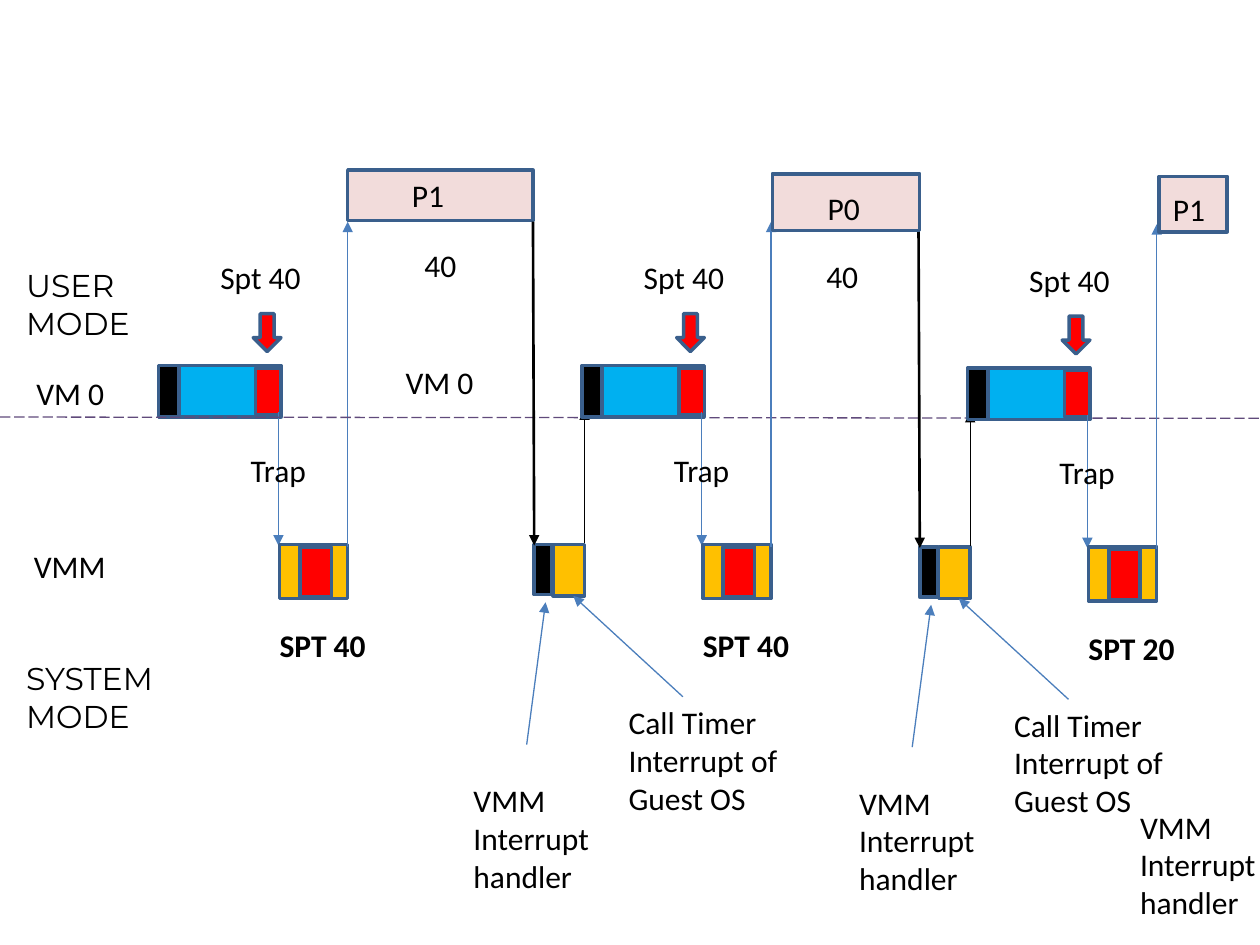
from lxml import etree
from pptx import Presentation
from pptx.dml.color import RGBColor
from pptx.enum.dml import MSO_LINE
from pptx.enum.shapes import MSO_CONNECTOR, MSO_SHAPE
from pptx.enum.text import MSO_AUTO_SIZE
from pptx.oxml.ns import qn
from pptx.util import Inches, Pt

RECTANGLE = MSO_SHAPE.RECTANGLE
DOWN_ARROW = MSO_SHAPE.DOWN_ARROW
STRAIGHT = MSO_CONNECTOR.STRAIGHT
LONG_DASH = MSO_LINE.LONG_DASH
FIT_SHAPE = MSO_AUTO_SIZE.SHAPE_TO_FIT_TEXT

COLORS = {
    "black": "000000",
    "blue": "00B0F0",
    "red": "FF0000",
    "amber": "FFC000",
    "pink": "F2DCDB",
    "outline": "3A5F8C",
    "arrow": "4B7EBC",
    "divider": "604A7B",
}


def rgb(name):
    return RGBColor.from_string(COLORS[name])


class TimelineSlide:
    body_font = "Calibri"
    mode_font = "Montserrat"
    text_size = Pt(18)

    def __init__(self, slide):
        self.slide = slide

    def block(self, left, top, width, height, fill, preset=RECTANGLE):
        shape = self.slide.shapes.add_shape(
            preset, Inches(left), Inches(top), Inches(width), Inches(height))
        shape.shadow.inherit = False
        shape.fill.solid()
        shape.fill.fore_color.rgb = rgb(fill)
        shape.line.color.rgb = rgb("outline")
        shape.line.width = Pt(2)

    def label(self, left, top, width, height, *lines, font=body_font,
              bold=False, wrap=False):
        box = self.slide.shapes.add_textbox(
            Inches(left), Inches(top), Inches(width), Inches(height))
        frame = box.text_frame
        frame.word_wrap = wrap
        frame.auto_size = FIT_SHAPE
        for index, line in enumerate(lines):
            paragraph = frame.add_paragraph() if index else frame.paragraphs[0]
            run = paragraph.add_run()
            run.text = line
            run.font.name = font
            run.font.size = self.text_size
            run.font.bold = bold
            run.font.color.rgb = rgb("black")

    def line(self, x1, y1, x2, y2, color="arrow", weight=0.75, arrow=True):
        connector = self.slide.shapes.add_connector(
            STRAIGHT, Inches(x1), Inches(y1), Inches(x2), Inches(y2))
        connector.line.color.rgb = rgb(color)
        connector.line.width = Pt(weight)
        if arrow:
            outline = connector.line._get_or_add_ln()
            etree.SubElement(outline, qn("a:tailEnd"), type="triangle")
        etree.SubElement(connector._element.spPr, qn("a:effectLst"))
        return connector

    def process(self, left, top, width, height, name, name_left, name_top):
        self.block(left, top, width, height, "pink")
        self.label(name_left, name_top, 0.65, 0.4, name, wrap=True)

    def guest_burst(self, x, dy, timer_label):
        """Guest kernel run in VM 0, its trap to the VMM and the return to user code."""
        self.block(x, 2.9 + dy, 0.16, 0.41, "black")
        self.block(x + 0.16, 2.9 + dy, 0.81, 0.41, "blue")
        self.block(x + 0.77, 2.92 + dy, 0.2, 0.37, "red")
        self.label(x + 0.39, 2 + dy, 0.85, 0.4, "Spt 40")
        self.block(x + 0.75, 2.49 + dy, 0.22, 0.3, "red", DOWN_ARROW)
        self.line(x + 0.95, 3.27 + dy, x + 0.95, 4.33 + dy)
        self.block(x + 0.96, 4.32 + dy, 0.54, 0.43, "amber")
        self.label(x + 0.63, 3.53 + dy, 0.65, 0.4, "Trap")
        self.block(x + 1.12, 4.34 + dy, 0.25, 0.4, "red")
        self.line(x + 1.5, 4.34 + dy, x + 1.5, 1.76 + dy)
        self.label(x + 0.86, 4.92 + dy, 0.89, 0.4, timer_label, bold=True)

    def timer_interrupt(self, x, dy):
        """Switch from user code to the VMM handler and on to the guest."""
        self.handler_label(x - 0.58, 6.15 + dy)
        self.block(x, 4.32 + dy, 0.14, 0.4, "black")
        self.block(x + 0.15, 4.32 + dy, 0.25, 0.41, "amber")
        self.line(x + 0.4, 4.31 + dy, x + 0.4, 3.25 + dy, "black")
        self.line(x - 0.01, 1.76 + dy, x, 4.33 + dy, "black", 1.5)
        self.line(x - 0.06, 5.91 + dy, x + 0.09, 4.78 + dy)
        self.label(x + 0.65, 5.53 + dy, 1.45, 1.01,
                   "Call Timer", "Interrupt of", "Guest OS")
        self.line(x + 1.18, 5.53 + dy, x + 0.31, 4.73 + dy)

    def handler_label(self, left, top):
        self.label(left, top, 1.13, 1.01, "VMM", "Interrupt", "handler")


def main():
    presentation = Presentation()
    presentation.slide_width = Inches(10)
    presentation.slide_height = Inches(7.5)
    blank_layout = presentation.slide_layouts[6]
    timeline = TimelineSlide(presentation.slides.add_slide(blank_layout))

    timeline.guest_burst(1.26, 0, "SPT 40")
    timeline.process(2.76, 1.35, 1.47, 0.4, "P1", 3.17, 1.35)
    divider = timeline.line(0, 3.31, 10, 3.32, "divider", arrow=False)
    divider.line.dash_style = LONG_DASH

    # Each later burst starts 0.38 inches after its timer interrupt.
    for interrupt_x, dy, timer_label in ((4.24, 0, "SPT 40"), (7.3, 0.02, "SPT 20")):
        timeline.timer_interrupt(interrupt_x, dy)
        timeline.guest_burst(interrupt_x + 0.38, dy, timer_label)
    timeline.process(6.13, 1.38, 1.17, 0.45, "P0", 6.47, 1.45)
    timeline.process(9.2, 1.4, 0.54, 0.44, "P1", 9.21, 1.46)
    timeline.handler_label(8.95, 6.36)

    for left, top in ((3.27, 1.9), (6.46, 1.99)):
        timeline.label(left, top, 0.46, 0.4, "40")
    for left, top in ((0.19, 2.92), (3.12, 2.83)):
        timeline.label(left, top, 0.75, 0.4, "VM 0")
    timeline.label(0.17, 4.29, 0.78, 0.4, "VMM")
    for top, width, mode in ((2.06, 1.06, "USER"), (5.18, 1.44, "SYSTEM")):
        timeline.label(0.11, top, width, 0.71, mode, "MODE",
                       font=timeline.mode_font)

    presentation.save("out.pptx")


if __name__ == "__main__":
    main()
